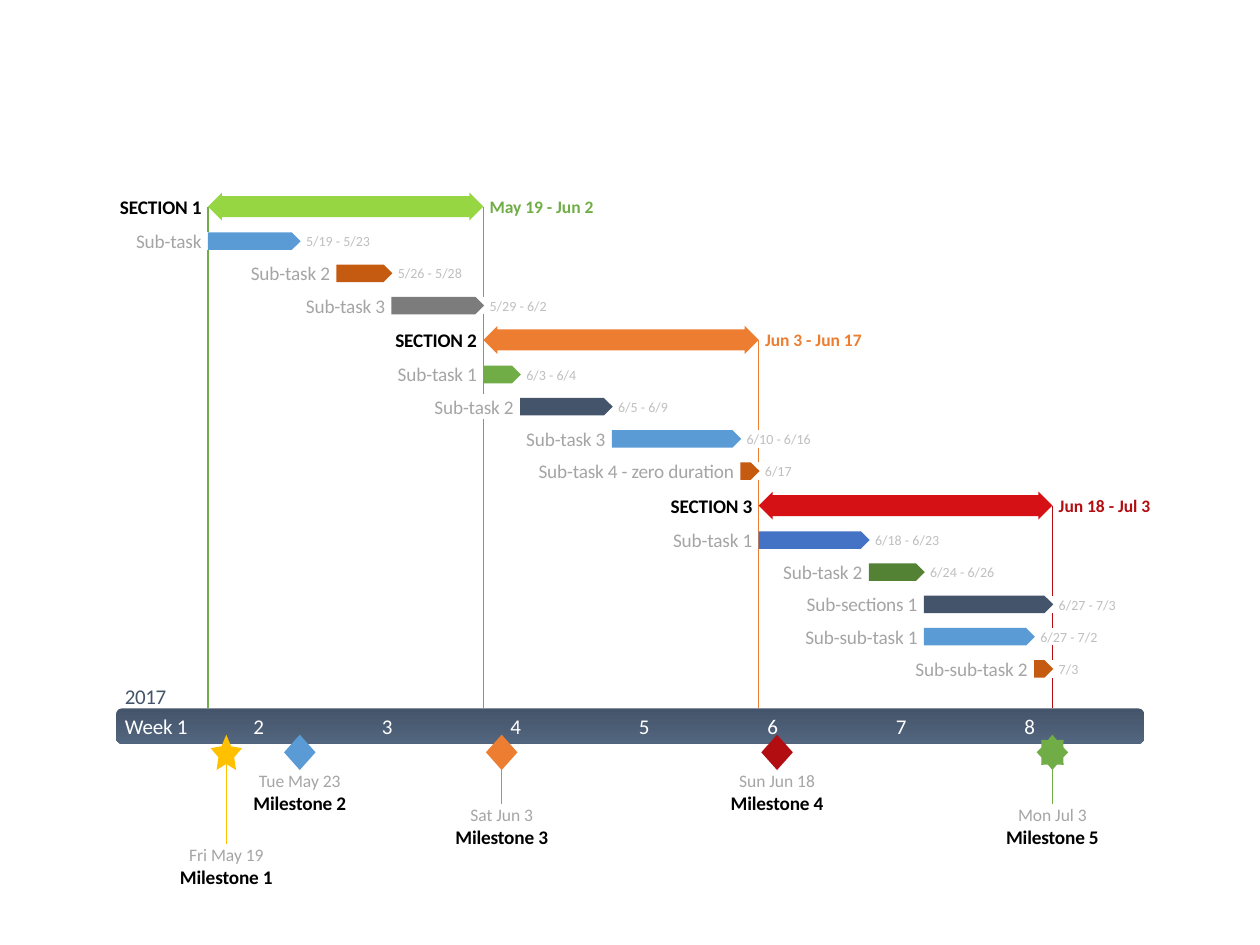
from lxml import etree
from pptx import Presentation
from pptx.dml.color import RGBColor
from pptx.enum import shapes as es, text as et
from pptx.oxml.ns import qn
from pptx.util import Pt

BLACK = RGBColor(0x00, 0x00, 0x00)
WHITE = RGBColor(0xFF, 0xFF, 0xFF)
GREY = RGBColor(0xA5, 0xA5, 0xA5)
PALE = RGBColor(0xBF, 0xBF, 0xBF)
STONE = RGBColor(0x7C, 0x7C, 0x7C)
SLATE = RGBColor(0x44, 0x54, 0x6A)
STEEL = RGBColor(0x52, 0x66, 0x7F)
BLUE = RGBColor(0x5B, 0x9B, 0xD5)
ROYAL = RGBColor(0x44, 0x72, 0xC4)
GREEN = RGBColor(0x70, 0xAD, 0x47)
LIME = RGBColor(0x96, 0xD6, 0x42)
MOSS = RGBColor(0x54, 0x82, 0x35)
ORANGE = RGBColor(0xED, 0x7D, 0x31)
RUST = RGBColor(0xC5, 0x5A, 0x11)
GOLD = RGBColor(0xFF, 0xC0, 0x00)
RED = RGBColor(0xD5, 0x11, 0x16)
WINE = RGBColor(0xB2, 0x0E, 0x12)

KIND = es.MSO_SHAPE
LEFT, MID, RIGHT = et.PP_ALIGN.LEFT, et.PP_ALIGN.CENTER, et.PP_ALIGN.RIGHT

DAY = 10.49       # width of one day
SPAN = 56 * DAY   # eight weeks, from May 14
STEP = 18.4       # from task to task
WIDE = 19.7       # from or to a section
PAD = 3.6         # between a bar and its texts

# label, label width, dates, dates width, first day, days, bar colour, date colour
# (only a section has a date colour)
ROWS = [
    ("SECTION 1", 48.2, "May 19 - Jun 2", 61, 5, 15, LIME, GREEN),
    ("Sub-task", 38.9, "5/19 - 5/23", 39, 5, 5, BLUE, None),
    ("Sub-task 2", 46.8, "5/26 - 5/28", 39, 12, 3, RUST, None),
    ("Sub-task 3", 46.8, "5/29 - 6/2", 34, 15, 5, STONE, None),
    ("SECTION 2", 48.2, "Jun 3 - Jun 17", 57, 20, 15, ORANGE, ORANGE),
    ("Sub-task 1", 46.8, "6/3 - 6/4", 30, 20, 2, GREEN, None),
    ("Sub-task 2", 46.8, "6/5 - 6/9", 30, 22, 5, SLATE, None),
    ("Sub-task 3", 46.8, "6/10 - 6/16", 39, 27, 7, BLUE, None),
    ("Sub-task 4 - zero duration", 115.2, "6/17", 16, 34, 1, RUST, None),
    ("SECTION 3", 48.2, "Jun 18 - Jul 3", 54, 35, 16, RED, WINE),
    ("Sub-task 1", 46.8, "6/18 - 6/23", 39, 35, 6, ROYAL, None),
    ("Sub-task 2", 46.8, "6/24 - 6/26", 39, 41, 3, MOSS, None),
    ("Sub-sections 1", 64.8, "6/27 - 7/3", 34, 44, 7, SLATE, None),
    ("Sub-sub-task 1", 66.2, "6/27 - 7/2", 34, 44, 6, BLUE, None),
    ("Sub-sub-task 2", 66.2, "7/3", 13, 50, 1, RUST, None),
]

# day, colour, first row, {row that interrupts the line: half the gap}
GUIDES = [
    (51, WINE, 9, {12: 5, 13: 5, 14: 5}),
    (35, ORANGE, 4, {7: 5, 8: 5}),
    (20, GREEN, 0, {3: 5, 6: 7}),
    (5, GREEN, 0, {1: 5}),
]

# title, date, date width, day, stem length, shape, colour
STONES = [
    ("Milestone 1", "Fri May 19", 44, 6, 42.4, KIND.STAR_5_POINT, GOLD),
    ("Milestone 2", "Tue May 23", 48, 10, 0, KIND.DIAMOND, BLUE),
    ("Milestone 3", "Sat Jun 3", 37, 21, 19.4, KIND.DIAMOND, ORANGE),
    ("Milestone 4", "Sun Jun 18", 45, 36, 0, KIND.DIAMOND, WINE),
    ("Milestone 5", "Mon Jul 3", 41, 51, 19.4, KIND.STAR_8_POINT, GREEN),
]


def put(slide, kind, x, y, w, h, color=None):
    shape = slide.shapes.add_shape(kind, Pt(x), Pt(y), Pt(w), Pt(h))
    shape.shadow.inherit = False
    shape.line.fill.background()
    if color is not None:
        shape.fill.solid()
        shape.fill.fore_color.rgb = color
    return shape


def write(slide, words, x, y, w, h, size, color, align=LEFT, bold=False, gap=0):
    box = slide.shapes.add_textbox(Pt(x), Pt(y), Pt(w), Pt(h))
    frame = box.text_frame
    frame.margin_left = frame.margin_right = frame.margin_top = frame.margin_bottom = 0
    frame.word_wrap = False
    frame.vertical_anchor = et.MSO_ANCHOR.MIDDLE
    frame.text = words
    par = frame.paragraphs[0]
    par.alignment = align
    run = par.runs[0]
    run.font.name = "Calibri"
    run.font.size = Pt(size)
    run.font.bold = bold
    run.font.color.rgb = color
    if gap:
        run.font._element.set("spc", str(gap))


def rule(slide, x, top, end, color):
    line = slide.shapes.add_connector(es.MSO_CONNECTOR.STRAIGHT, Pt(x), Pt(top), Pt(x), Pt(end))
    line.line.color.rgb = color
    line.line.width = Pt(0.75)
    etree.SubElement(line._element.spPr, qn("a:effectLst"))


def levels(top):
    """Middle of every row; rows next to a section stand further apart."""
    mids = [top]
    for last, row in zip(ROWS, ROWS[1:]):
        mids.append(mids[-1] + (WIDE if last[-1] or row[-1] else STEP))
    return mids


def guides(slide, left, top, end):
    mids = levels(top)
    for day, color, first, gaps in GUIDES:
        x, y = left + day * DAY, mids[first]
        for row, half in gaps.items():
            rule(slide, x, y, mids[row] - half, color)
            y = mids[row] + half
        rule(slide, x, y, end, color)


def axis(slide, left, top, width, height):
    band = put(slide, KIND.ROUNDED_RECTANGLE, left, top, width, height)
    band.fill.gradient()
    band.fill.gradient_angle = 270
    for stop, color in zip(band.fill.gradient_stops, (SLATE, STEEL)):
        stop.color.rgb = color
    for week in range(8):
        words, wide = (str(week + 1), 5.8) if week else ("Week 1", 36.7)
        write(slide, words, left + 5 + week * 7 * DAY, top + 3.4, wide, 13.7, 12, WHITE, gap=-10)
    write(slide, "2017", left + 5, top - 14.2, 23.8, 14.4, 12, SLATE, gap=-20)


def stones(slide, left, top):
    base = top + 20.2
    # Stems lie behind the markers
    for *_, day, stem, kind, color in STONES:
        if stem:
            rule(slide, left + day * DAY, top + 10.1, base + stem, color)
    for title, date, wide, day, stem, kind, color in STONES:
        x, y = left + day * DAY, base + stem
        write(slide, title, x - 27, y + 12, 54, 13.7, 11, BLACK, MID, True, -10)
        write(slide, date, x - wide / 2, y, wide, 12.2, 10, GREY, MID)
        mark = put(slide, kind, x - 9, top, 18, 20.2, color)
        if kind == KIND.STAR_5_POINT:
            mark.adjustments[0] = 0.25


def plan(slide, left, top):
    for mid, row in zip(levels(top), ROWS):
        label, wide, dates, span, day, days, color, tint = row
        x, w = left + day * DAY, days * DAY
        if tint:
            bar = put(slide, KIND.LEFT_RIGHT_ARROW, x, mid - 8, w, 16, color)
            bar.adjustments[0], bar.adjustments[1] = 0.75, 0.5
        else:
            put(slide, KIND.PENTAGON, x, mid - 5, w + 0.5, 10, color)
        # Name on the left, dates on the right
        write(slide, label, x - PAD - wide, mid - 7, wide, 13.7, 11,
              BLACK if tint else GREY, RIGHT, bool(tint), -10)
        size, high = (10, 12.2) if tint else (8, 10)
        write(slide, dates, x + w + PAD, mid - high / 2, span, high, size,
              tint or PALE, bold=bool(tint))


def main():
    deck = Presentation()
    deck.slide_width, deck.slide_height = Pt(720), Pt(540)
    slide = deck.slides.add_slide(deck.slide_layouts[6])
    left, top, base = 66.4, 118.1, 404.8
    guides(slide, left, top, base)
    axis(slide, left, base, SPAN, 20.2)
    stones(slide, left, base + 15)
    plan(slide, left, top)
    deck.save("out.pptx")


if __name__ == "__main__":
    main()
